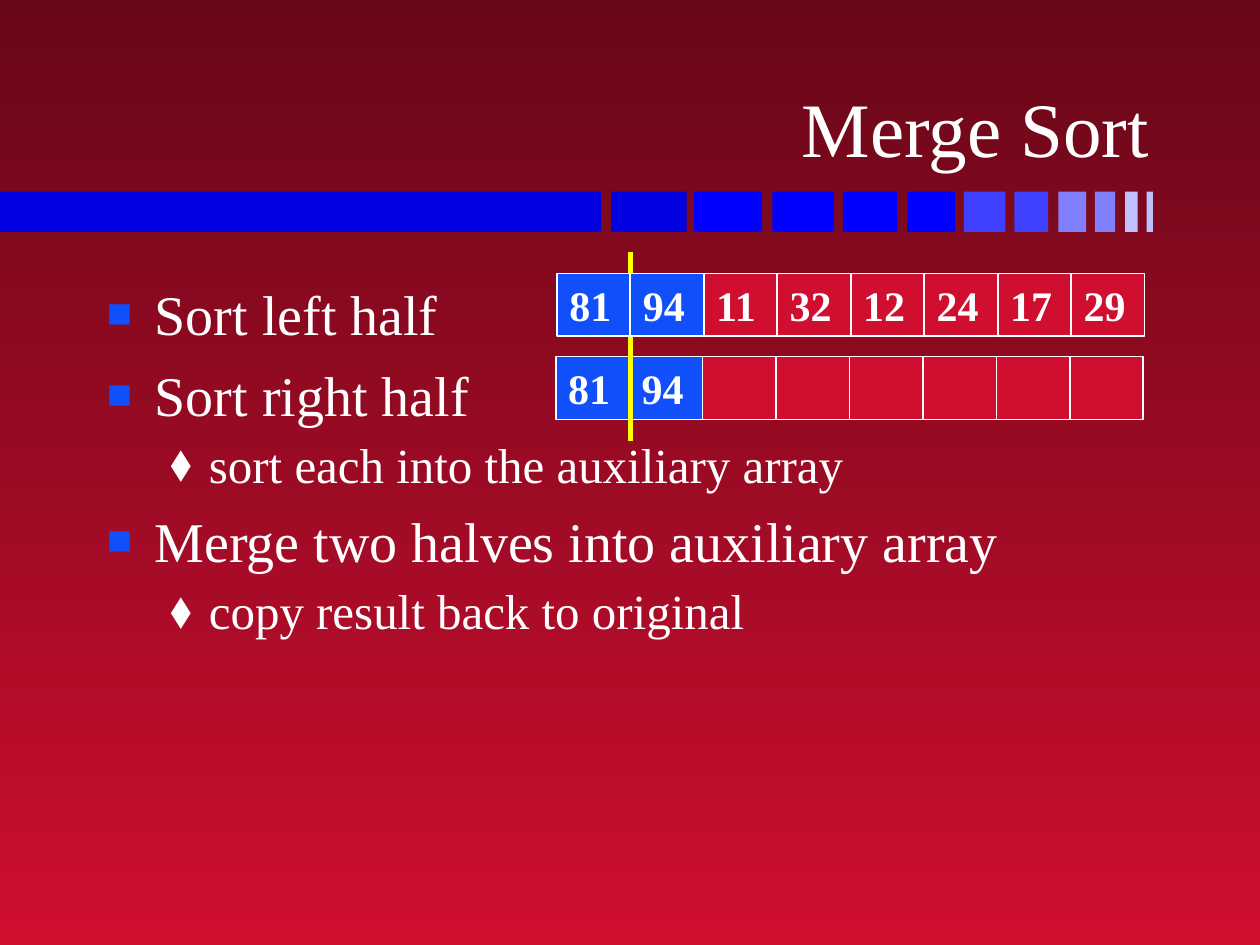
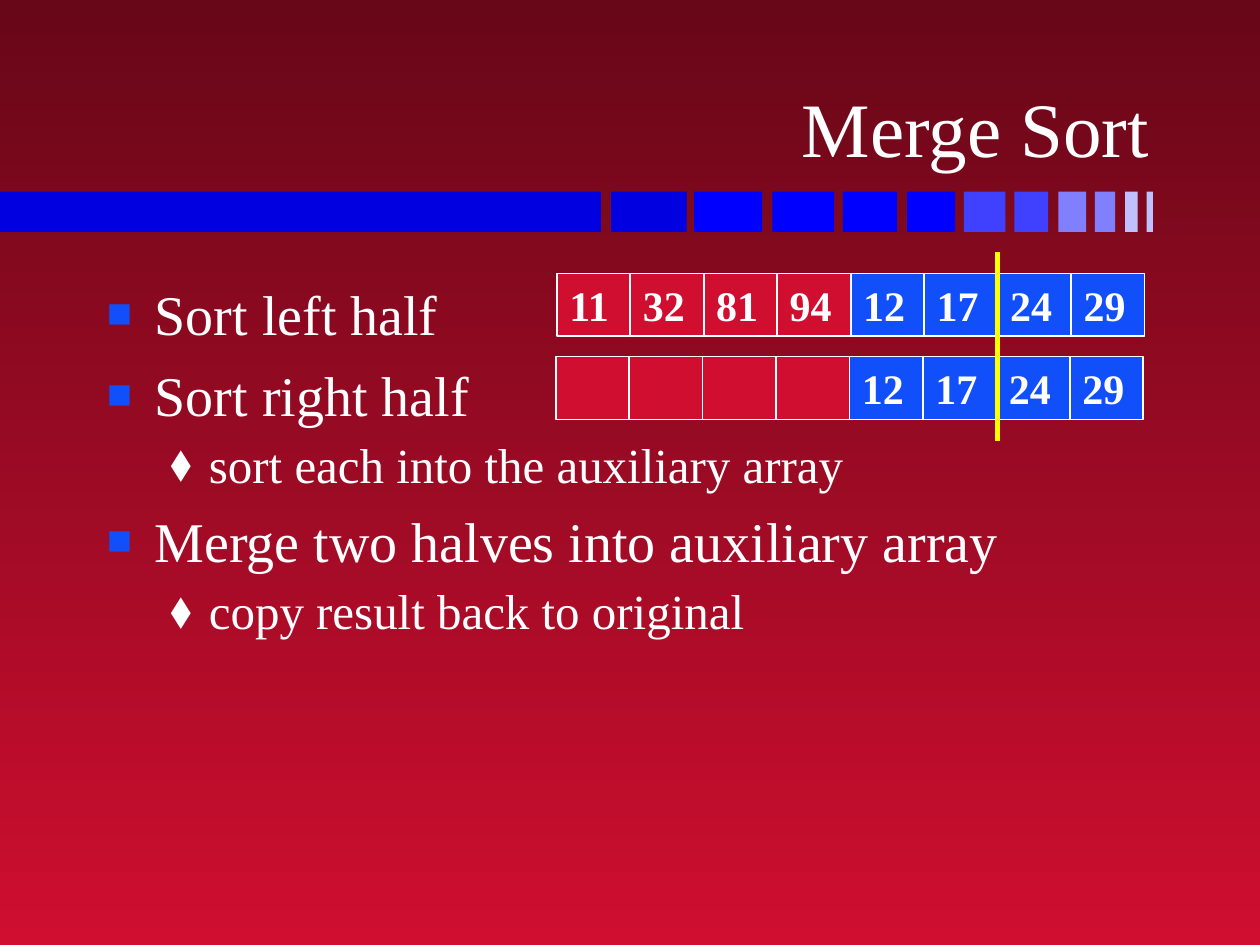
from typing import NamedTuple

import pptx
import pptx.dml.color
import pptx.enum.shapes
import pptx.enum.text
import pptx.oxml.ns
import pptx.presentation
import pptx.shapes.autoshape
import pptx.slide
import pptx.text.text
import pptx.util
from lxml import etree

RGBColor = pptx.dml.color.RGBColor
Paragraph = pptx.text.text._Paragraph

DARK_RED = RGBColor(0x67, 0x07, 0x18)
RED = RGBColor(0xCF, 0x0E, 0x30)
BLUE = RGBColor(0x11, 0x4F, 0xFB)
WHITE = RGBColor(0xFF, 0xFF, 0xFF)
YELLOW = RGBColor(0xFF, 0xFF, 0x00)
BAND_NAVY = RGBColor(0x00, 0x00, 0xE0)
BAND_BLUE = RGBColor(0x00, 0x00, 0xFF)
BAND_MEDIUM = RGBColor(0x40, 0x40, 0xFF)
BAND_LIGHT = RGBColor(0x80, 0x80, 0xFF)
BAND_PALE = RGBColor(0xC0, 0xC0, 0xFF)

FONT = "Times New Roman"

# The slide is a grid of 100 columns by 75 rows.
COLUMNS, ROWS = 100, 75
GRID_UNIT = pptx.util.Inches(0.1)


class Box(NamedTuple):
    left: float
    top: float
    width: float
    height: float


class BandBlock(NamedTuple):
    left: float
    width: float
    color: RGBColor


class BulletStyle(NamedTuple):
    symbol: str
    color: RGBColor
    percent: int
    margin: float
    hanging: float
    space_before: float
    size: int


class BulletLine(NamedTuple):
    text: str
    style: BulletStyle


class MergeStep(NamedTuple):
    """Array contents, the highlighted slots and the slot where the divider stands."""
    array: list[str]
    auxiliary: list[str]
    active: range
    divider_slot: int
    divider_in_front: bool


TITLE_BOX = Box(7.4, 1.9, 84.8, 12.3)
BODY_BOX = Box(7.5, 21.7, 85, 45)
BAND_TOP, BAND_HEIGHT = 15.2, 3.2
BAND = [
    BandBlock(0, 47.7, BAND_NAVY),
    BandBlock(48.5, 6, BAND_NAVY),
    BandBlock(55.1, 5.4, BAND_BLUE),
    BandBlock(61.3, 4.9, BAND_BLUE),
    BandBlock(66.9, 4.3, BAND_BLUE),
    BandBlock(72, 3.8, BAND_BLUE),
    BandBlock(76.5, 3.3, BAND_MEDIUM),
    BandBlock(80.5, 2.7, BAND_MEDIUM),
    BandBlock(84, 2.2, BAND_LIGHT),
    BandBlock(86.9, 1.6, BAND_LIGHT),
    BandBlock(89.3, 1, BAND_PALE),
    BandBlock(91, 0.5, BAND_PALE),
]

CELL_WIDTH, CELL_HEIGHT = 5.83, 5
ARRAY_LEFT, ARRAY_TOP = 44.2, 21.7
AUXILIARY_LEFT, AUXILIARY_TOP = 44.1, 28.3
DIVIDER_TOP, DIVIDER_BOTTOM = 20, 35

MAIN = BulletStyle("■", BLUE, 75, 3.8, 3.8, 8, 32)
SUB = BulletStyle("⬧", WHITE, 100, 8.1, 3.1, 3.5, 28)
OUTLINE = [
    BulletLine("Sort left half", MAIN),
    BulletLine("Sort right half", MAIN),
    BulletLine("sort each into the auxiliary array", SUB),
    BulletLine("Merge two halves into auxiliary array", MAIN),
    BulletLine("copy result back to original", SUB),
]

STEPS = [
    MergeStep(
        array=["81", "94", "11", "32", "12", "24", "17", "29"],
        auxiliary=["81", "94"] + [""] * 6,
        active=range(0, 2), divider_slot=1, divider_in_front=False,
    ),
    MergeStep(
        array=["11", "32", "81", "94", "12", "17", "24", "29"],
        auxiliary=[""] * 4 + ["12", "17", "24", "29"],
        active=range(4, 8), divider_slot=6, divider_in_front=True,
    ),
]


def grid(*counts: float) -> list[int]:
    return [round(count * GRID_UNIT) for count in counts]


def style_text(paragraph: Paragraph, size: int, bold: bool = False) -> None:
    for run in paragraph.runs:
        run.font.name = FONT
        run.font.size = pptx.util.Pt(size)
        run.font.bold = bold
        run.font.color.rgb = WHITE


def add_rectangle(slide: pptx.slide.Slide, box: Box,
                  color: RGBColor) -> pptx.shapes.autoshape.Shape:
    shape = slide.shapes.add_shape(pptx.enum.shapes.MSO_SHAPE.RECTANGLE, *grid(*box))
    shape.shadow.inherit = False
    shape.fill.solid()
    shape.fill.fore_color.rgb = color
    shape.line.fill.background()
    return shape


def add_background(slide: pptx.slide.Slide) -> None:
    fill = slide.background.fill
    fill.gradient()
    fill.gradient_angle = 270
    for stop, color, position in zip(fill.gradient_stops, (DARK_RED, RED), (0, 1)):
        stop.color.rgb = color
        stop.position = position


def add_band(slide: pptx.slide.Slide) -> None:
    for block in BAND:
        add_rectangle(slide, Box(block.left, BAND_TOP, block.width, BAND_HEIGHT), block.color)


def add_title(slide: pptx.slide.Slide, text: str) -> None:
    text_frame = slide.shapes.add_textbox(*grid(*TITLE_BOX)).text_frame
    text_frame.word_wrap = True
    text_frame.vertical_anchor = pptx.enum.text.MSO_ANCHOR.BOTTOM
    text_frame.text = text
    paragraph = text_frame.paragraphs[0]
    paragraph.alignment = pptx.enum.text.PP_ALIGN.RIGHT
    style_text(paragraph, 44)


def add_bullet(paragraph: Paragraph, style: BulletStyle) -> None:
    properties = paragraph._p.get_or_add_pPr()
    margin, hanging = grid(style.margin, style.hanging)
    properties.set("marL", str(margin))
    properties.set("indent", str(-hanging))
    qualified = pptx.oxml.ns.qn
    color = etree.SubElement(properties, qualified("a:buClr"))
    etree.SubElement(color, qualified("a:srgbClr"), val=str(style.color))
    etree.SubElement(properties, qualified("a:buSzPct"), val=str(style.percent * 1000))
    etree.SubElement(properties, qualified("a:buFont"), typeface=FONT)
    etree.SubElement(properties, qualified("a:buChar"), char=style.symbol)


def add_outline(slide: pptx.slide.Slide) -> None:
    text_frame = slide.shapes.add_textbox(*grid(*BODY_BOX)).text_frame
    text_frame.word_wrap = True
    text_frame.text = "\n".join(line.text for line in OUTLINE)
    for index, (paragraph, line) in enumerate(zip(text_frame.paragraphs, OUTLINE)):
        add_bullet(paragraph, line.style)
        paragraph.level = int(line.style is SUB)
        paragraph.space_before = pptx.util.Pt(line.style.space_before if index else 0)
        style_text(paragraph, line.style.size)


def add_array(slide: pptx.slide.Slide, values: list[str], left: float, top: float,
              active: range) -> None:
    for slot, value in enumerate(values):
        box = Box(left + slot * CELL_WIDTH, top, CELL_WIDTH, CELL_HEIGHT)
        cell = add_rectangle(slide, box, BLUE if slot in active else RED)
        cell.line.color.rgb = WHITE
        cell.line.width = pptx.util.Pt(1)
        if value:
            cell.text_frame.text = value
            cell.text_frame.vertical_anchor = pptx.enum.text.MSO_ANCHOR.MIDDLE
            paragraph = cell.text_frame.paragraphs[0]
            paragraph.alignment = pptx.enum.text.PP_ALIGN.LEFT
            style_text(paragraph, 24, bold=True)


def add_divider(slide: pptx.slide.Slide, slot: int) -> None:
    column = ARRAY_LEFT + slot * CELL_WIDTH
    line = slide.shapes.add_connector(
        pptx.enum.shapes.MSO_CONNECTOR.STRAIGHT,
        *grid(column, DIVIDER_TOP, column, DIVIDER_BOTTOM))
    line.line.color.rgb = YELLOW
    line.line.width = pptx.util.Pt(3)
    etree.SubElement(line._element.spPr, pptx.oxml.ns.qn("a:effectLst"))


def add_step_slide(presentation: pptx.presentation.Presentation, step: MergeStep) -> None:
    slide = presentation.slides.add_slide(presentation.slide_layouts[6])
    add_background(slide)
    add_band(slide)
    add_title(slide, "Merge Sort")
    add_outline(slide)
    add_array(slide, step.auxiliary, AUXILIARY_LEFT, AUXILIARY_TOP, step.active)
    if not step.divider_in_front:
        add_divider(slide, step.divider_slot)
    add_array(slide, step.array, ARRAY_LEFT, ARRAY_TOP, step.active)
    if step.divider_in_front:
        add_divider(slide, step.divider_slot)


def main() -> None:
    presentation = pptx.Presentation()
    presentation.slide_width, presentation.slide_height = grid(COLUMNS, ROWS)
    for step in STEPS:
        add_step_slide(presentation, step)
    presentation.save("out.pptx")


if __name__ == "__main__":
    main()
